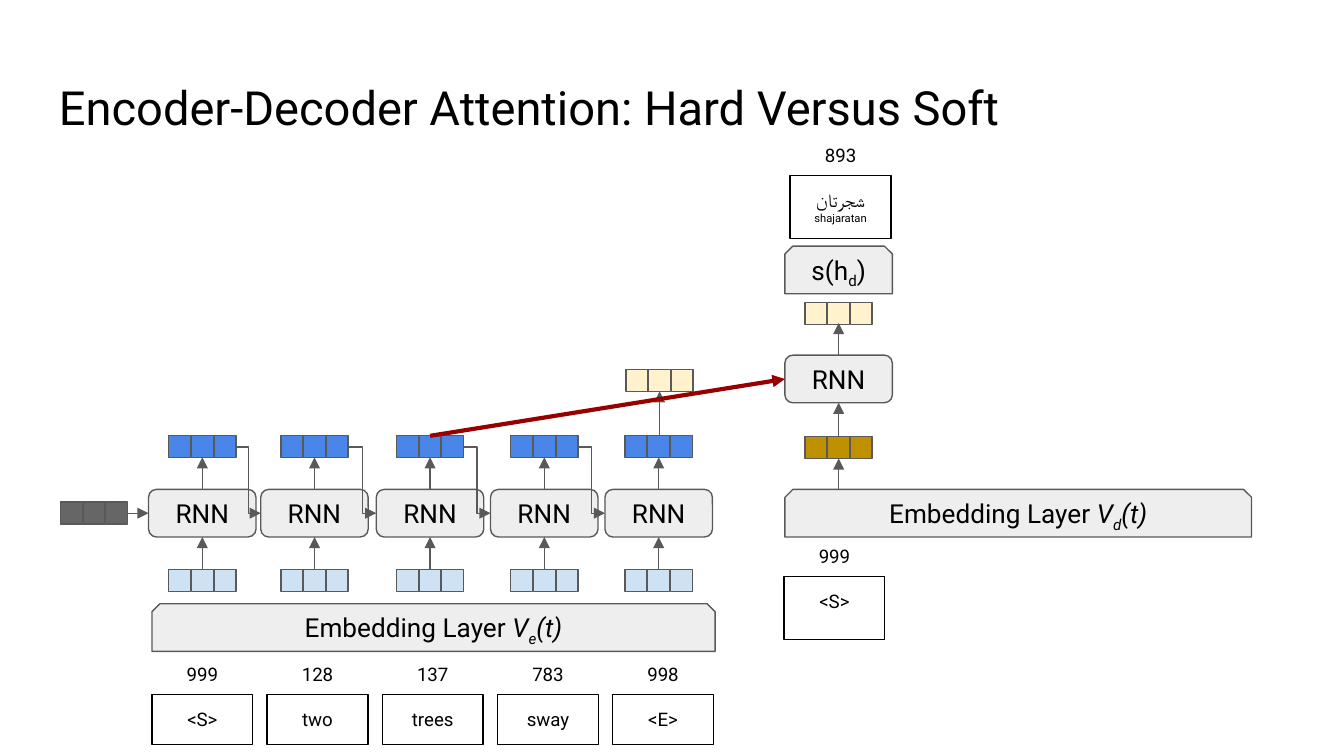
from dataclasses import dataclass

from lxml import etree
from pptx import Presentation
from pptx.dml.color import RGBColor
from pptx.enum.shapes import MSO_CONNECTOR, MSO_SHAPE
from pptx.enum.text import MSO_ANCHOR, PP_ALIGN
from pptx.oxml.ns import qn
from pptx.util import Pt

RECT = MSO_SHAPE.RECTANGLE
ROUND = MSO_SHAPE.ROUNDED_RECTANGLE
SNIP = MSO_SHAPE.SNIP_2_SAME_RECTANGLE
STRAIGHT, ELBOW = MSO_CONNECTOR.STRAIGHT, MSO_CONNECTOR.ELBOW
TOP, MIDDLE = MSO_ANCHOR.TOP, MSO_ANCHOR.MIDDLE
LEFT, CENTER = PP_ALIGN.LEFT, PP_ALIGN.CENTER


@dataclass(frozen=True)
class Theme:
    font: str = "Roboto"
    ink: str = "000000"
    edge: str = "595959"
    layer: str = "EEEEEE"
    embedding: str = "CFE2F3"
    hidden: str = "4A86E8"
    initial: str = "666666"
    context: str = "FFF2CC"
    target: str = "BF9000"
    attention: str = "980000"
    title: float = 25.2
    label: float = 14
    token: float = 10
    gloss: float = 6
    thin: float = 0.75
    thick: float = 2.25


@dataclass(frozen=True)
class Step:
    cx: float
    token_x: float
    word: str
    code: str


THEME = Theme()
CELL, CELL_PITCH, VECTOR_HALF = 11.8, 12.1, 18
RNN_W, LAYER_H, TOKEN_W = 57.6, 25.5, 54
ENCODER_Y, DECODER_Y, DECODER_CX = 262.2, 190.3, 449.3
HIDDEN_Y, EMBEDDING_Y = 233.5, 305.3

CENTERS = (108.4, 168.5, 230.4, 291.6, 352.9)
WORDS = ("<S>", "two", "trees", "sway", "<E>")
CODES = ("999", "128", "137", "783", "998")
STEPS = [Step(cx, 81.4 + 61.7 * i, word, code)
         for i, (cx, word, code) in enumerate(zip(CENTERS, WORDS, CODES))]


def write(tf, text: str, *, size: float, italic: bool = False, sub: bool = False,
          align=CENTER, new: bool = False) -> None:
    p = tf.add_paragraph() if new else tf.paragraphs[-1]
    p.alignment = align
    r = p.add_run()
    r.text = text
    r.font.name = THEME.font
    r.font.size = Pt(size)
    r.font.italic = italic
    r.font.color.rgb = RGBColor.from_string(THEME.ink)
    if sub:
        r._r.get_or_add_rPr().set("baseline", "-25000")


def frame(s, anchor=TOP):
    tf = s.text_frame
    tf.word_wrap = True
    tf.vertical_anchor = anchor
    tf.margin_left = tf.margin_right = tf.margin_top = tf.margin_bottom = Pt(7.2)
    return tf


def text_box(sp, x: float, y: float, w: float, h: float, text: str, **fmt) -> None:
    write(frame(sp.add_textbox(Pt(x), Pt(y), Pt(w), Pt(h))), text, **fmt)


def box(sp, kind, x: float, y: float, w: float, h: float,
        fill: str = "", line: str = THEME.edge):
    s = sp.add_shape(kind, Pt(x), Pt(y), Pt(w), Pt(h))
    s.shadow.inherit = False
    if fill:
        s.fill.solid()
        s.fill.fore_color.rgb = RGBColor.from_string(fill)
    else:
        s.fill.background()
    s.line.color.rgb = RGBColor.from_string(line)
    s.line.width = Pt(THEME.thin)
    return s


def arrow(sp, x1: float, y1: float, x2: float, y2: float, kind=STRAIGHT,
          color: str = THEME.edge, width: float = THEME.thin) -> None:
    s = sp.add_connector(kind, Pt(x1), Pt(y1), Pt(x2), Pt(y2))
    s.line.color.rgb = RGBColor.from_string(color)
    s.line.width = Pt(width)
    etree.SubElement(s.line._get_or_add_ln(), qn("a:tailEnd"), type="triangle")
    etree.SubElement(s._element.spPr, qn("a:effectLst"))


def vector(sp, cx: float, y: float, fill: str) -> None:
    for i in range(3):
        box(sp, RECT, cx - VECTOR_HALF + i * CELL_PITCH, y, CELL, CELL, fill)


def rnn(sp, cx: float, y: float) -> None:
    s = box(sp, ROUND, cx - RNN_W / 2, y, RNN_W, LAYER_H, THEME.layer)
    write(frame(s, MIDDLE), "RNN", size=THEME.label)
    arrow(sp, cx, y, cx, y - 17.2)


def embedding_layer(sp, x: float, y: float, w: float, index: str) -> None:
    tf = frame(box(sp, SNIP, x, y, w, LAYER_H, THEME.layer), MIDDLE)
    write(tf, "Embedding Layer ", size=THEME.label)
    write(tf, "V", size=THEME.label, italic=True)
    write(tf, index, size=THEME.label, italic=True, sub=True)
    write(tf, "(t)", size=THEME.label, italic=True)


def token(sp, x: float, y: float, h: float, word: str, code: str):
    text_box(sp, x, y - 23, TOKEN_W, 26.6, code, size=THEME.token)
    tf = frame(box(sp, RECT, x, y, TOKEN_W, h, line=THEME.ink))
    write(tf, word, size=THEME.token)
    return tf


def encoder(sp) -> None:
    middle = ENCODER_Y + LAYER_H / 2
    embedding_layer(sp, 81.4, 323.5, 301.7, "e")
    source_x = 50.5
    vector(sp, source_x, middle - CELL / 2, THEME.initial)
    for i, step in enumerate(STEPS):
        token(sp, step.token_x, 372.2, 26.6, step.word, step.code)
        vector(sp, step.cx, EMBEDDING_Y, THEME.embedding)
        vector(sp, step.cx, HIDDEN_Y, THEME.hidden)
        rnn(sp, step.cx, ENCODER_Y)
        arrow(sp, step.cx, EMBEDDING_Y, step.cx, ENCODER_Y + LAYER_H)
        start_y = HIDDEN_Y + CELL / 2 if i else middle
        arrow(sp, source_x + VECTOR_HALF, start_y, step.cx - RNN_W / 2, middle,
              ELBOW if i else STRAIGHT)
        source_x = step.cx
    last = STEPS[-1].cx + 0.5
    arrow(sp, last, HIDDEN_Y, last, 209.7)
    vector(sp, last, 198, THEME.context)


def decoder(sp) -> None:
    x = DECODER_CX - RNN_W / 2
    vector(sp, DECODER_CX, 162, THEME.context)
    rnn(sp, DECODER_CX, DECODER_Y)
    tf = token(sp, 423.3, 93.9, 33.8, "شجرتان", "893")
    write(tf, "shajaratan", size=THEME.gloss, new=True)
    tf = frame(box(sp, SNIP, x, 131.9, RNN_W, LAYER_H, THEME.layer), MIDDLE)
    write(tf, "s(h", size=THEME.label)
    write(tf, "d", size=THEME.label, sub=True)
    write(tf, ")", size=THEME.label)
    token(sp, 420, 309, 33.8, "<S>", "999")
    vector(sp, DECODER_CX, 233.8, THEME.target)
    arrow(sp, DECODER_CX, 233.8, DECODER_CX, DECODER_Y + LAYER_H)
    embedding_layer(sp, x, ENCODER_Y, 250, "d")
    arrow(sp, DECODER_CX, ENCODER_Y, DECODER_CX, 245.6)


def main() -> None:
    prs = Presentation()
    prs.slide_width, prs.slide_height = Pt(720), Pt(405)
    sp = prs.slides.add_slide(prs.slide_layouts[6]).shapes
    text_box(sp, 24.5, 35, 671, 45.4, "Encoder-Decoder Attention: Hard Versus Soft",
             size=THEME.title, align=LEFT)
    encoder(sp)
    decoder(sp)
    arrow(sp, STEPS[2].cx, HIDDEN_Y, DECODER_CX - RNN_W / 2, DECODER_Y + LAYER_H / 2,
          color=THEME.attention, width=THEME.thick)
    prs.save("out.pptx")


if __name__ == "__main__":
    main()
